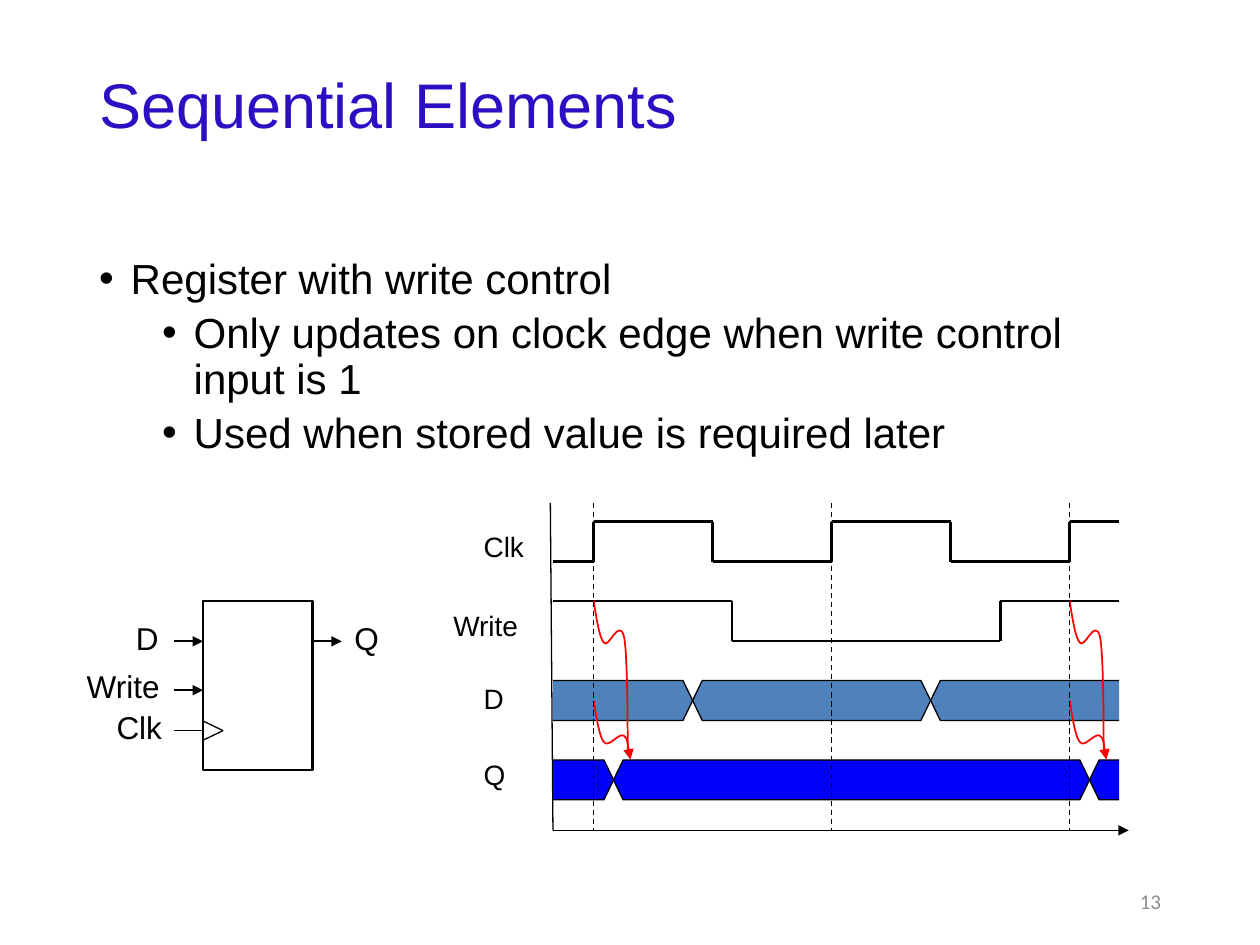
from itertools import pairwise

from lxml import etree
from pptx import Presentation
from pptx.dml.color import RGBColor
from pptx.enum import dml, shapes, text
from pptx.oxml import ns
from pptx.util import Pt

rgb = RGBColor.from_string
BLACK, RED, STEEL, BLUE = "000000", "FF0000", "4F81BD", "0000FF"

deck = Presentation()
deck.slide_width, deck.slide_height = Pt(720), Pt(540)
slide = deck.slides.add_slide(deck.slide_layouts[1])
canvas = slide.shapes


def set_line(shape, color, width, arrow=False):
    shape.line.color.rgb = rgb(color)
    shape.line.width = Pt(width)
    if arrow:
        etree.SubElement(shape.line._get_or_add_ln(), ns.qn("a:tailEnd"), type="triangle")


def add_line(start, end, width, arrow=False):
    line = canvas.add_connector(shapes.MSO_CONNECTOR.STRAIGHT, *map(Pt, start + end))
    set_line(line, BLACK, width, arrow)
    etree.SubElement(line._element.spPr, ns.qn("a:effectLst"))
    return line


# Title
title = canvas.title
title.left, title.top, title.width, title.height = map(Pt, (49.5, 28.8, 621, 65.5))
title.text_frame.text = "Sequential Elements"
title.text_frame.vertical_anchor = text.MSO_ANCHOR.MIDDLE
heading = title.text_frame.paragraphs[0]
heading.alignment = text.PP_ALIGN.LEFT
heading.line_spacing = 0.9
for name, value in {"size": Pt(36), "name": "Arial"}.items():
    setattr(heading.font, name, value)
heading.font.color.rgb = rgb("2D0FC3")

# Bullet list
body = slide.placeholders[1]
body.left, body.top, body.width, body.height = map(Pt, (49.5, 144, 621, 342.7))
points = [
    (0, "Register with write control"),
    (1, "Only updates on clock edge when write control input is 1"),
    (1, "Used when stored value is required later"),
]
body.text_frame.text = "\n".join(words for _, words in points)
for point, (level, _) in zip(body.text_frame.paragraphs, points):
    point.level = level
    properties = point._p.get_or_add_pPr()
    properties.set("marL", str(Pt(18 + 36 * level)))
    properties.set("indent", str(Pt(-18)))
    etree.SubElement(properties, ns.qn("a:buFont"), typeface="Arial")
    etree.SubElement(properties, ns.qn("a:buChar"), char="•")
    point.line_spacing = 0.9
    point.space_before = Pt(5 * level)
    for name, value in {"size": Pt(24), "name": "Arial"}.items():
        setattr(point.font, name, value)
    point.font.color.rgb = rgb(BLACK)

# Register symbol
register = canvas.add_shape(shapes.MSO_SHAPE.RECTANGLE, *map(Pt, (116, 343.5, 62.5, 96.5)))
register.shadow.inherit = False
register.fill.background()
set_line(register, BLACK, 1.5)
for pin_x, pin_y in [(99.2, 366.5), (99.2, 394.4), (178.5, 366.5)]:
    add_line((pin_x, pin_y), (pin_x + 16.8, pin_y), 1, arrow=True)
add_line((99.2, 417.5), (116, 417.5), 0.75)
for corner_y in (412, 423):
    add_line((116, corner_y), (127.5, 417.5), 0.75)

# Timing diagram grid
left, right = 316, 639.5
axis_top, axis_bottom = 287.3, 474.5
swing, slant, period = 22.8, 5.5, 136
rises = [339.3 + period * i for i in range(3)]
clk_top, write_top, d_top, q_top = [298.1 + 45.4 * i for i in range(4)]

add_line((left, axis_bottom), (645, axis_bottom), 0.75, arrow=True)
add_line((left, axis_bottom), (314.5, axis_top), 0.75)

# Square waves: row top, starting level (0 high, 1 low), toggle times
clk_toggles = [rises[0] + period / 2 * i for i in range(5)]
for top, level, toggles in [(clk_top, 1, clk_toggles), (write_top, 0, [418.3, 571.7])]:
    for start, end in pairwise([left, *toggles, right]):
        y = top + swing * level
        add_line((start, y), (end, y), 1.5)
        if end != right:
            add_line((end, top), (end, top + swing), 1.5)
        level = 1 - level

# Data bands, pinched where the value changes and open at the diagram's sides
for top, color, changes in [
    (d_top, STEEL, [395.8, 395.8 + period]),
    (q_top, BLUE, [rises[0] + 11.3, rises[2] + 11.3]),
]:
    middle, bottom = top + swing / 2, top + swing
    for start, end in pairwise([left, *changes, right]):
        tip_in = [(start, middle)] if start != left else []
        tip_out = [(end, middle)] if end != right else []
        x1 = start + slant * len(tip_in)
        x2 = end - slant * len(tip_out)
        if tip_out:
            outline = [(x1, top), (x2, top), *tip_out, (x2, bottom), (x1, bottom), *tip_in]
        else:
            outline = [(x2, top), (x1, top), *tip_in, (x1, bottom), (x2, bottom)]
        corners = [(Pt(x), Pt(y)) for x, y in outline]
        builder = canvas.build_freeform(*corners[0])
        builder.add_line_segments(corners[1:], close=bool(tip_in and tip_out))
        band = builder.convert_to_shape()
        band.shadow.inherit = False
        band.fill.solid()
        band.fill.fore_color.rgb = rgb(color)
        set_line(band, BLACK, 0.75)

# Red cause-and-effect curves, as Bezier points relative to the clock edge
dip = [(0, 0), (0.7, 4.3), (2.9, 20.9), (5.8, 23.8), (8.6, 27.4)]
from_write = dip + [(14.4, 9.4), (17.3, 20.2), (19.4, 30.2), (19.4, 72.7), (19.4, 86.4)]
from_d = dip + [(14.4, 18), (17.3, 20.2), (19.4, 21.6), (20.2, 31), (20.9, 33.8)]
for edge in (rises[0], rises[2]):
    for top, offsets, arrow in [(d_top + swing / 2, from_d, True), (write_top, from_write, False)]:
        nodes = [(Pt(edge + dx), Pt(top + dy)) for dx, dy in offsets]
        builder = canvas.build_freeform(*nodes[0])
        builder.add_line_segments(nodes[1:], close=False)
        curve = builder.convert_to_shape()
        segments = list(curve._element.iter(ns.qn("a:lnTo")))
        for i in range(0, len(segments), 3):
            bezier = etree.SubElement(segments[i].getparent(), ns.qn("a:cubicBezTo"))
            for segment in segments[i:i + 3]:
                bezier.append(segment[0])
                segment.getparent().remove(segment)
        curve.shadow.inherit = False
        curve.fill.background()
        set_line(curve, RED, 1, arrow)

for edge in rises:
    marker = add_line((edge, axis_top), (edge, axis_bottom), 0.75)
    marker.line.dash_style = dml.MSO_LINE.DASH

# Signal names: words, left, top, width, size
for words, x, y, width, size in [
    ("D", 70.6, 350, 27.4, 18),
    ("Write", 42.5, 377.5, 56, 18),
    ("Clk", 59.5, 401, 40.5, 18),
    ("Q", 195.5, 350, 28.8, 18),
    ("Clk", 269.3, 299, 37.5, 16),
    ("Write", 252, 344.3, 51.8, 16),
    ("D", 269.3, 386, 26, 16),
    ("Q", 269.3, 429.3, 27.4, 16),
]:
    frame = canvas.add_textbox(Pt(x), Pt(y), Pt(width), Pt(size * 1.2 + 7.2)).text_frame
    frame.text = words
    frame.word_wrap = False
    frame.auto_size = text.MSO_AUTO_SIZE.SHAPE_TO_FIT_TEXT
    font = frame.paragraphs[0].font
    font.name, font.size = "Arial", Pt(size)
    font.color.rgb = rgb(BLACK)

# Page number
footer = canvas.add_textbox(*map(Pt, (508.5, 500.5, 162, 28.8))).text_frame
footer.text = "13"
footer.word_wrap = True
footer.vertical_anchor = text.MSO_ANCHOR.MIDDLE
page = footer.paragraphs[0]
page.alignment = text.PP_ALIGN.RIGHT
page.font.name, page.font.size = "Calibri", Pt(12)
page.font.color.rgb = rgb("8C8C8C")

deck.save("out.pptx")
